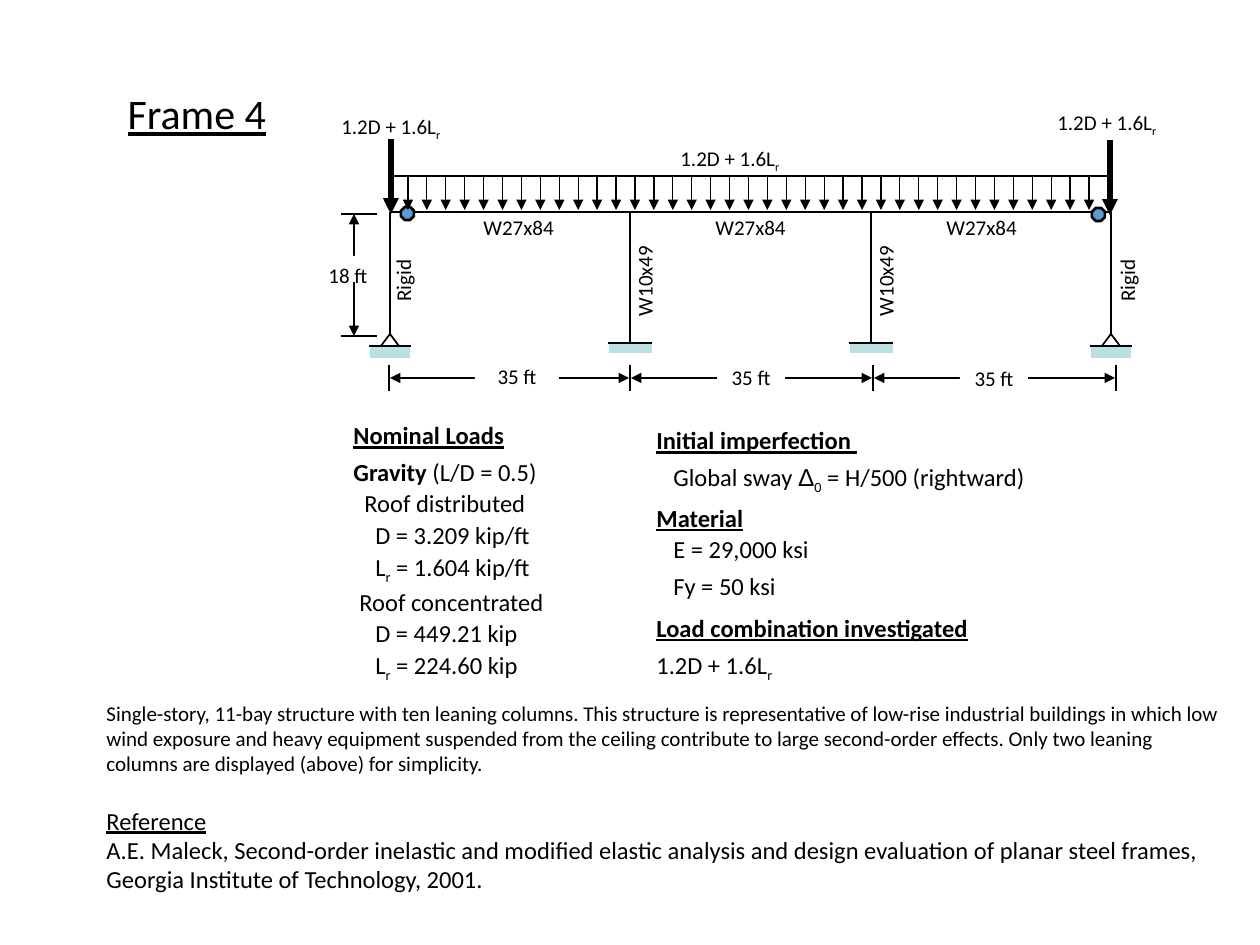
from pptx import Presentation
from pptx.dml.color import RGBColor
from pptx.enum.shapes import MSO_CONNECTOR, MSO_SHAPE as Shape
from pptx.enum.text import MSO_ANCHOR, MSO_AUTO_SIZE as Fit, PP_ALIGN as Align
from pptx.oxml.ns import qn
from pptx.util import Emu, Pt
from lxml.etree import SubElement

PX = 914400 // 126
BLACK, WHITE, GROUND, HINGE = "000000", "FFFFFF", "BBE0E3", "5B9BD5"
BOLD, LINED = {"bold": True}, {"underline": True}
HEAD = {**BOLD, **LINED}
SUB = {"sub": True}

# Frame geometry
COLUMNS = [(390, "pinned"), (630, "fixed"), (871, "fixed"), (1111, "pinned")]
BEAM_Y, PIN_Y, FIXED_Y = 212, 334, 343
HINGES = [(401, 207), (1092, 208)]
LOAD_LEFT, LOAD_RIGHT, LOAD_TOP, LOAD_COUNT = 389, 1108, 176, 39
POINT_LOADS = [(391, 139), (1110, 140)]
SPAN_TICKS, SPAN_Y = [389, 630, 873, 1116], 378
SPAN_LABELS = [(475, 357, 84, 37), (717, 358, 68, 34), (960, 359, 68, 34)]
HEIGHT_X, HEIGHT_TOP, HEIGHT_BOTTOM = 354, 214, 336

# Labels: text, left, top, width, rotation
MEMBER_LABELS = [
    ("Rigid", 369, 261, 68, 270), ("W10x49", 596, 261, 97, 270),
    ("W10x49", 837, 261, 97, 270), ("Rigid", 1093, 261, 68, 270),
    ("W27x84", 471, 208, 97, 0), ("W27x84", 703, 208, 97, 0),
    ("W27x84", 934, 208, 97, 0),
]
LOAD_LABELS = [(668, 137), (329, 105), (1045, 101)]
COMBINATION = [("1.2D + 1.6L", {}), ("r", SUB)]

# Paragraphs: spans, paragraph format
NOMINAL_LOADS = [
    ([("Nominal Loads", HEAD)], {"after": 3}),
    ([("Gravity ", BOLD), ("(L/D = 0.5)", {})], {}),
    ([("Roof distributed", {})], {"indent": 11}),
    ([("D = 3.209 kip/ft", {})], {"indent": 22}),
    ([("L", {}), ("r", SUB), (" = 1.604 kip/ft", {})], {"indent": 22}),
    ([("Roof concentrated", {})], {"indent": 6}),
    ([("D = 449.21 kip", {})], {"indent": 22}),
    ([("L", {}), ("r", SUB), (" = 224.60 kip", {})], {"indent": 22}),
]
ASSUMPTIONS = [
    ([("Initial imperfection ", HEAD)], {"before": 6, "after": 3}),
    ([("Global sway ", {}), ("Δ", {"name": "Arial"}), ("0", SUB),
      (" = H/500 (rightward)", {})], {"indent": 17, "after": 3}),
    ([("Material", HEAD)], {}),
    ([("E = 29,000 ksi", {})], {"indent": 17, "after": 3}),
    ([("Fy = 50 ksi", {})], {"indent": 17, "after": 6}),
    ([("Load combination investigated", HEAD)], {"after": 3}),
    (COMBINATION, {}),
]
NOTES = [
    ([("Single-story, 11-bay structure with ten leaning columns. This structure is "
       "representative of low-rise industrial buildings in which low wind exposure and "
       "heavy equipment suspended from the ceiling contribute to large second-order "
       "effects. Only two leaning columns are displayed (above) for simplicity.",
       {"size": Pt(12)})], {}),
    ([("Reference", LINED)], {"before": 17}),
    ([("A.E. Maleck, Second-order inelastic and modified elastic analysis and design "
       "evaluation of planar steel frames, Georgia Institute of Technology, 2001.", {})], {}),
]


def px(*lengths):
    """Turn pixels into EMU."""
    return [Emu(round(length * PX)) for length in lengths]


def color(code):
    """Turn a hex string into a colour."""
    return RGBColor.from_string(code)


def write(frame, paragraphs, size, spacing=None, align=Align.LEFT):
    """Fill a text frame with formatted paragraphs."""
    for index, (spans, layout) in enumerate(paragraphs):
        para = frame.add_paragraph() if index else frame.paragraphs[0]
        para.alignment = align
        para.space_before = Pt(layout.get("before", 0))
        para.space_after = Pt(layout.get("after", 0))
        if spacing:
            para.line_spacing = spacing
        if "indent" in layout:
            para._p.get_or_add_pPr().set("marL", str(px(layout["indent"])[0]))
        for text, style in spans:
            span = para.add_run()
            span.text = text
            span.font.color.rgb = color(BLACK)
            for key, value in {"name": "Calibri", "size": Pt(size), **style}.items():
                if key == "sub":
                    span.font._element.set("baseline", "-25000")
                else:
                    setattr(span.font, key, value)


def add_text(bounds, paragraphs, size, spacing=None, wrap=True, fit=Fit.NONE, turn=0):
    """Add a text box."""
    box = page.shapes.add_textbox(*px(*bounds))
    box.rotation = turn
    box.text_frame.word_wrap = wrap
    box.text_frame.auto_size = fit
    write(box.text_frame, paragraphs, size, spacing)


def add_line(x1, y1, x2, y2, width=0.75, ends=()):
    """Add a black line, with arrowheads at the named ends."""
    line = page.shapes.add_connector(MSO_CONNECTOR.STRAIGHT, *px(x1, y1, x2, y2))
    line.line.color.rgb = color(BLACK)
    line.line.width = Pt(width)
    for end in ends:
        SubElement(line.line._get_or_add_ln(), qn(f"a:{end}"), type="triangle")
    SubElement(line._element.spPr, qn("a:effectLst"))


def add_block(kind, bounds, fill=None, outline=None, label=None):
    """Add a preset shape, with an optional centred label."""
    block = page.shapes.add_shape(kind, *px(*bounds))
    block.shadow.inherit = False
    if fill:
        block.fill.solid()
        block.fill.fore_color.rgb = color(fill)
    else:
        block.fill.background()
    if outline:
        block.line.color.rgb = color(BLACK)
        block.line.width = Pt(outline)
    else:
        block.line.fill.background()
    if label:
        block.text_frame.vertical_anchor = MSO_ANCHOR.TOP
        write(block.text_frame, [([(label, {})], {})], 12, align=Align.CENTER)


def add_column(x, support):
    """Add a column standing on its support."""
    if support == "fixed":
        add_line(x, FIXED_Y, x, BEAM_Y - 1, 1.5)
        add_block(Shape.RECTANGLE, (x - 21, FIXED_Y, 43, 10), GROUND)
        add_line(x - 22, FIXED_Y, x + 22, FIXED_Y, 1.5)
    else:
        add_line(x, PIN_Y, x, BEAM_Y, 1.5)
        add_block(Shape.RECTANGLE, (x - 20, PIN_Y + 13, 40, 11), GROUND)
        add_block(Shape.ISOSCELES_TRIANGLE, (x - 9, PIN_Y, 18, 12), outline=1)
        add_line(x - 21, PIN_Y + 12, x + 21, PIN_Y + 12, 1)


deck = Presentation()
deck.slide_width, deck.slide_height = px(1260, 945)
page = deck.slides.add_slide(deck.slide_layouts[5])

title = page.shapes.title
title.left, title.top, title.width, title.height = px(115, 81, 198, 63)
title.text_frame.vertical_anchor = MSO_ANCHOR.TOP
title.text_frame.auto_size = Fit.SHAPE_TO_FIT_TEXT
write(title.text_frame, [([("Frame 4", LINED)], {})], 24)

for x, support in COLUMNS:
    add_column(x, support)
add_line(COLUMNS[0][0], BEAM_Y, COLUMNS[-1][0], BEAM_Y, 1.5)
for x, y in HINGES:
    add_block(Shape.OCTAGON, (x, y, 13, 13), HINGE, 1.5)

step = (LOAD_RIGHT - LOAD_LEFT) / (LOAD_COUNT - 1)
for number in range(LOAD_COUNT):
    x = LOAD_LEFT + number * step
    add_line(x, LOAD_TOP, x, BEAM_Y - 2, ends=["tailEnd"])
add_line(LOAD_LEFT, LOAD_TOP, LOAD_RIGHT, LOAD_TOP, 1)
for x, y in POINT_LOADS:
    add_line(x, y, x, y + 75, 3, ["tailEnd"])

both = ["headEnd", "tailEnd"]
for x in SPAN_TICKS:
    add_line(x, SPAN_Y - 13, x, SPAN_Y + 13)
for left, right, bounds in zip(SPAN_TICKS, SPAN_TICKS[1:], SPAN_LABELS):
    add_line(left + 1, SPAN_Y, right - 1, SPAN_Y, ends=both)
    add_block(Shape.RECTANGLE, bounds, WHITE, label="35 ft")
add_line(HEIGHT_X, HEIGHT_BOTTOM, HEIGHT_X, HEIGHT_TOP, ends=both)
add_block(Shape.RECTANGLE, (309, 256, 78, 26), WHITE, label="18 ft")
for y in (HEIGHT_TOP, HEIGHT_BOTTOM):
    add_line(HEIGHT_X - 13, y, HEIGHT_X + 23, y)

grow = Fit.SHAPE_TO_FIT_TEXT
for text, left, top, width, turn in MEMBER_LABELS:
    add_text((left, top, width, 38), [([(text, {})], {})], 12, None, False, grow, turn)
for left, top in LOAD_LABELS:
    add_text((left, top, 126, 39), [(COMBINATION, {"before": 2.4})], 12, 1.07, False, grow)
add_text((94, 694, 1140, 208), NOTES, 14, fit=grow)
add_text((341, 412, 296, 272), NOMINAL_LOADS, 14, 1.07)
add_text((644, 417, 417, 260), ASSUMPTIONS, 14, 1.07)

deck.save("out.pptx")
